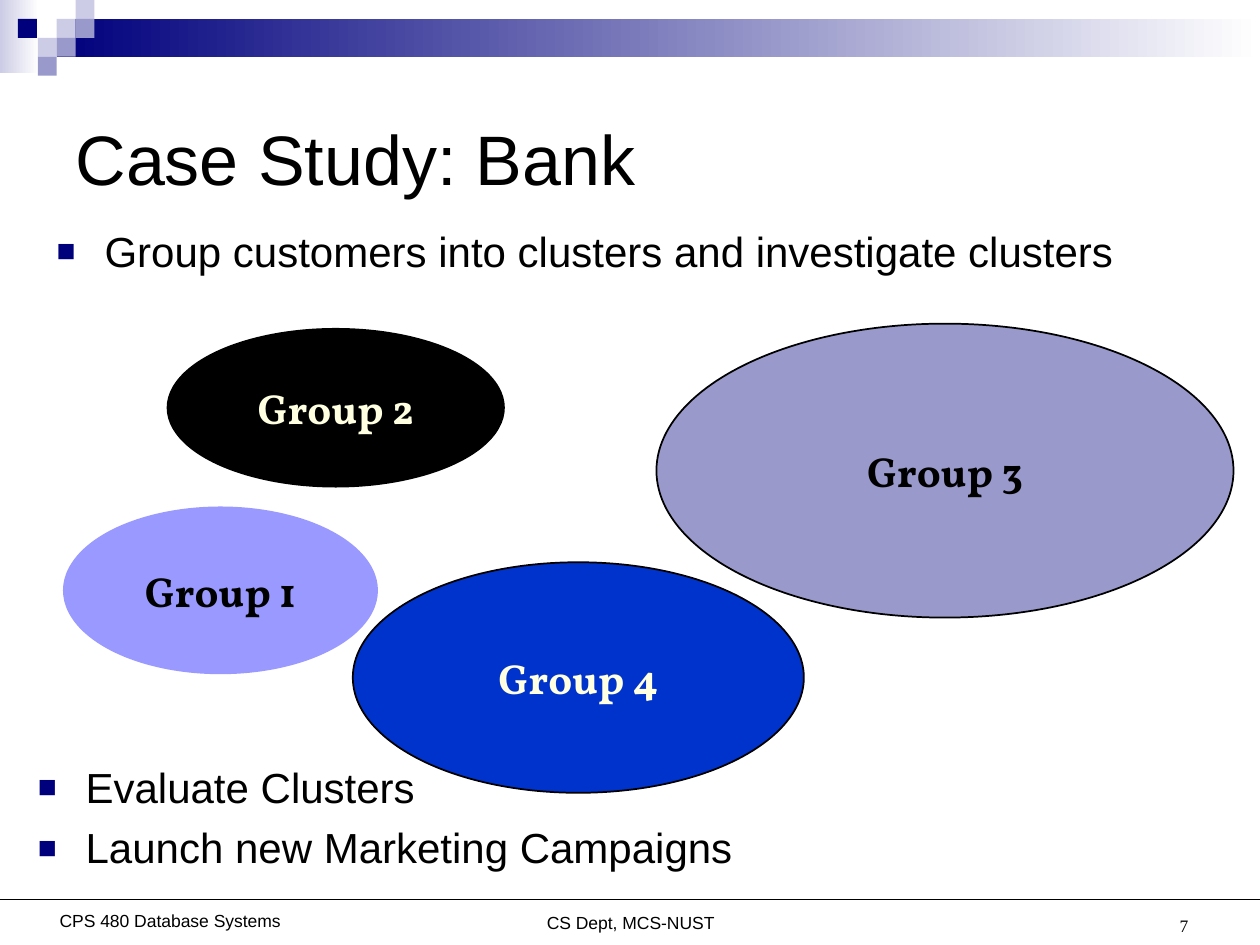
import pptx
import pptx.dml.color
import pptx.enum.shapes
import pptx.enum.text
import pptx.oxml.ns
import pptx.util
import lxml.etree
from dataclasses import dataclass
from typing import Any, NamedTuple, Optional

SHAPE = pptx.enum.shapes.MSO_SHAPE
ALIGN = pptx.enum.text.PP_ALIGN
ANCHOR = pptx.enum.text.MSO_ANCHOR
WIDTH, HEIGHT = pptx.util.Inches(10), pptx.util.Inches(7.5)


@dataclass(frozen=True)
class Theme:
    navy: str = "00007D"
    lavender: str = "9999CC"
    pale: str = "CCCCE6"
    violet: str = "9999FF"
    blue: str = "0033CC"
    cream: str = "FFFFE1"
    black: str = "000000"
    white: str = "FFFFFF"
    sans: str = "Arial"
    serif: str = "Times New Roman"
    display: str = "Vollkorn"
    title: int = 40
    body: int = 24
    small: int = 10


THEME = Theme()


class Area(NamedTuple):
    """Left, top, width and height as percentages of the slide."""
    left: float
    top: float
    width: float
    height: float

    def lengths(self) -> tuple:
        sides = (WIDTH, HEIGHT, WIDTH, HEIGHT)
        return tuple(round(share * side / 100) for share, side in zip(self, sides))


class Cluster(NamedTuple):
    name: str
    area: Area
    fill: str
    text: str
    outlined: bool = True


class Footer(NamedTuple):
    text: str
    area: Area
    font: str
    align: Any
    anchor: Any


# Decoration: squares on a 1.5 % by 2 % grid, as (column, row, colour)
SQUARES = [
    (3, 1, THEME.pale), (4, 0, THEME.pale), (4, 1, THEME.lavender), (2, 2, THEME.pale),
    (0.95, 1, THEME.navy), (3, 2, THEME.lavender), (2, 3, THEME.lavender),
]
BANDS = [(Area(0, 0, 3.1, 7.75), THEME.pale), (Area(4.5, 2, 95.5, 4), THEME.navy)]

CLUSTERS = [
    Cluster("Group 2", Area(13.3, 34.8, 26.7, 16.7), THEME.black, THEME.cream),
    Cluster("Group 3", Area(52.1, 34.25, 45.8, 31.1), THEME.lavender, THEME.black),
    Cluster("Group 4", Area(28, 59.5, 35.8, 24.4), THEME.blue, THEME.cream),
    Cluster("Group 1", Area(5, 53.6, 25, 17.75), THEME.violet, THEME.black, False),
]
LISTS = [
    (Area(3.5, 22.67, 87.4, 14.67), ["Group customers into clusters and investigate clusters"]),
    (Area(2, 79.33, 70.9, 14.67), ["Evaluate Clusters", "Launch new Marketing Campaigns"]),
]
FOOTERS = [
    Footer("CS Dept, MCS-NUST", Area(29.2, 95.9, 41.7, 3.6), THEME.sans, ALIGN.CENTER, ANCHOR.TOP),
    Footer("CPS 480 Database Systems", Area(3.5, 95.6, 20, 3.6), THEME.sans, ALIGN.CENTER, ANCHOR.TOP),
    Footer("7", Area(72, 93.07, 23.3, 6.67), THEME.serif, ALIGN.RIGHT, ANCHOR.BOTTOM),
]


def rgb(colour: str) -> Any:
    return pptx.dml.color.RGBColor.from_string(colour)


def apply(target: Any, values: dict) -> None:
    for name, value in values.items():
        setattr(target, name, value)


def place(box: Any, area: Area) -> None:
    apply(box, dict(zip(("left", "top", "width", "height"), area.lengths())))


def write(box: Any, lines: list, size: int, font: str = THEME.sans, colour: str = THEME.black,
          bold: bool = False, align: Any = ALIGN.LEFT, anchor: Any = ANCHOR.TOP,
          wrap: bool = True, bulleted: bool = False) -> None:
    frame = box.text_frame
    apply(frame, {
        "word_wrap": wrap,
        "auto_size": pptx.enum.text.MSO_AUTO_SIZE.NONE,
        "vertical_anchor": anchor,
        "margin_top": pptx.util.Inches(0.09 if bulleted else 0.05),
    })
    for index, line in enumerate(lines):
        para = frame.paragraphs[0] if index == 0 else frame.add_paragraph()
        if bulleted:
            add_bullet(para)
        apply(para, {"alignment": align, "space_before": pptx.util.Pt(6 if index else 0)})
        span = para.add_run()
        span.text = line
        apply(span.font, {"size": pptx.util.Pt(size), "name": font, "bold": bold})
        span.font.color.rgb = rgb(colour)


def add_bullet(para: Any) -> None:
    properties = para._p.get_or_add_pPr()
    indent = pptx.util.Inches(0.38)
    properties.set("marL", str(indent))
    properties.set("indent", str(-indent))
    qn = pptx.oxml.ns.qn
    colour = lxml.etree.SubElement(properties, qn("a:buClr"))
    lxml.etree.SubElement(colour, qn("a:srgbClr"), val=THEME.navy)
    lxml.etree.SubElement(properties, qn("a:buSzPct"), val="75000")
    lxml.etree.SubElement(properties, qn("a:buFont"), typeface=THEME.sans)
    lxml.etree.SubElement(properties, qn("a:buChar"), char="■")


def draw_shape(page: Any, kind: Any, area: Area, fill: str, fade: bool = False,
               outline: Optional[str] = None) -> Any:
    shape = page.shapes.add_shape(kind, *area.lengths())
    shape.shadow.inherit = False
    if fade:
        shape.fill.gradient()
        shape.fill.gradient_angle = 0
        for stop, colour in zip(shape.fill.gradient_stops, (fill, THEME.white)):
            stop.color.rgb = rgb(colour)
    else:
        shape.fill.solid()
        shape.fill.fore_color.rgb = rgb(fill)
    if outline:
        shape.line.color.rgb = rgb(outline)
        shape.line.width = pptx.util.Pt(1)
    else:
        shape.line.fill.background()
    return shape


def draw_rule(page: Any, height_share: float) -> None:
    level = round(HEIGHT * height_share / 100)
    rule = page.shapes.add_connector(pptx.enum.shapes.MSO_CONNECTOR.STRAIGHT, 0, level, WIDTH, level)
    rule.line.color.rgb = rgb(THEME.black)
    rule.line.width = pptx.util.Pt(0.75)
    lxml.etree.SubElement(rule._element.spPr, pptx.oxml.ns.qn("a:effectLst"))


def main() -> None:
    deck = pptx.Presentation()
    apply(deck, {"slide_width": WIDTH, "slide_height": HEIGHT})
    page = deck.slides.add_slide(deck.slide_layouts.get_by_name("Two Content"))
    title, *bodies = page.placeholders

    # Header decoration
    for area, colour in BANDS:
        draw_shape(page, SHAPE.RECTANGLE, area, colour, fade=True)
    for column, row, colour in SQUARES:
        draw_shape(page, SHAPE.RECTANGLE, Area(column * 1.5, row * 2, 1.5, 2), colour)

    # Title and lists
    place(title, Area(5, 6.67, 90, 20))
    write(title, ["Case Study: Bank"], THEME.title, anchor=ANCHOR.MIDDLE)
    for body, (area, lines) in zip(bodies, LISTS):
        place(body, area)
        write(body, lines, THEME.body, bulleted=True)

    # Customer clusters
    for cluster in CLUSTERS:
        oval = draw_shape(page, SHAPE.OVAL, cluster.area, cluster.fill,
                          outline=THEME.black if cluster.outlined else None)
        write(oval, [cluster.name], THEME.body, THEME.display, cluster.text, bold=True,
              align=ALIGN.CENTER, anchor=ANCHOR.MIDDLE, wrap=False)

    # Footer
    draw_rule(page, 95.2)
    for footer in FOOTERS:
        box = page.shapes.add_textbox(*footer.area.lengths())
        write(box, [footer.text], THEME.small, footer.font, align=footer.align, anchor=footer.anchor)

    deck.save("out.pptx")


if __name__ == "__main__":
    main()
